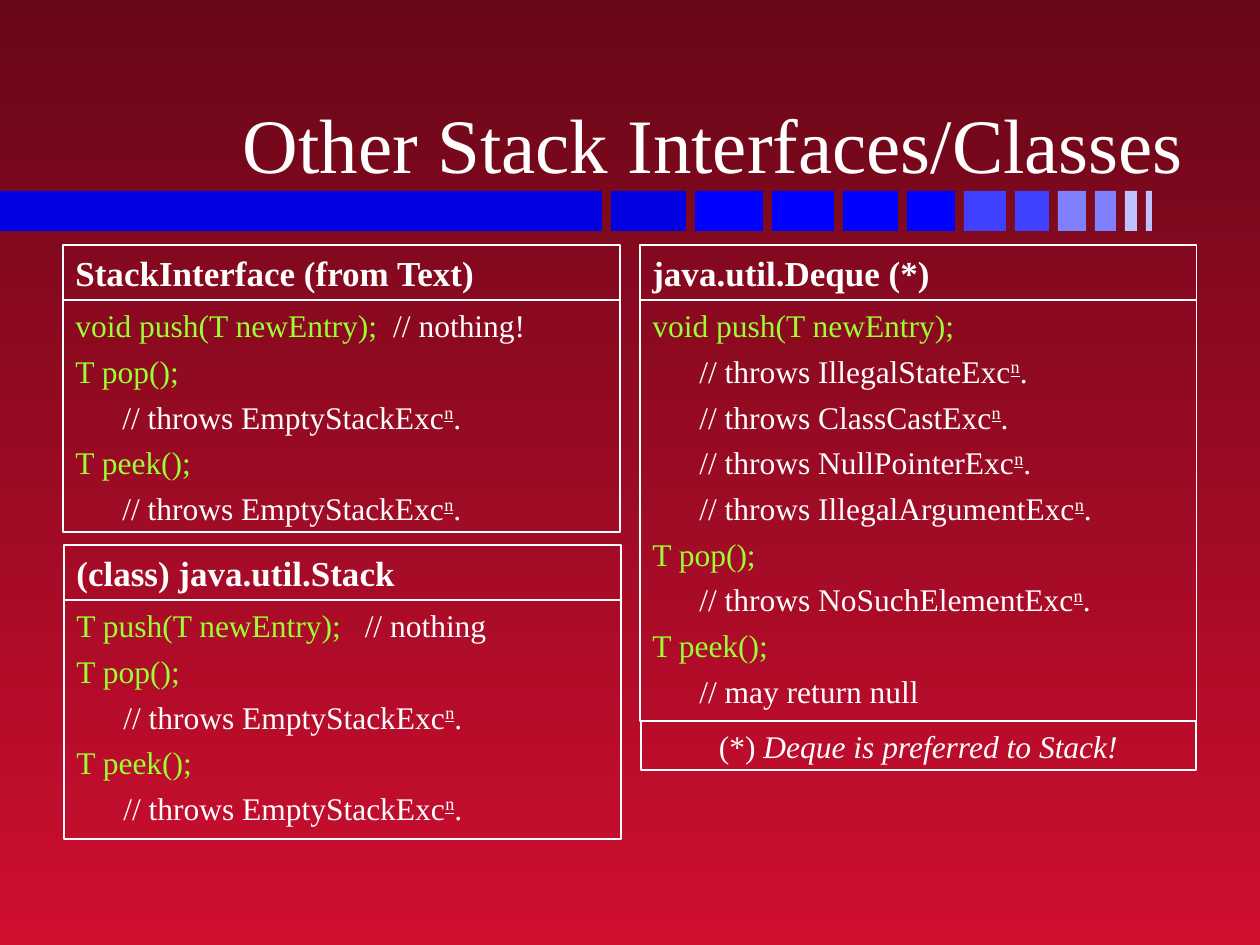
from lxml.etree import SubElement
from pptx import Presentation
from pptx.dml.color import RGBColor
from pptx.enum.shapes import MSO_SHAPE
from pptx.enum.text import MSO_ANCHOR, MSO_AUTO_SIZE, PP_ALIGN
from pptx.oxml.ns import qn
from pptx.util import Pt

SCALE = 914400 // 126
FONT = "Times New Roman"
COLORS = {
    "top": "670718", "base": "CF0E30", "white": "FFFFFF", "code": "99FF33",
    "navy": "0000E0", "blue": "0000FF", "mid": "4040FF",
    "light": "8080FF", "pale": "C0C0FF",
}
TITLE = "Other Stack Interfaces/Classes"
BARS = [
    (602, "navy"), (75, "navy"), (68, "blue"), (62, "blue"),
    (55, "blue"), (48, "blue"), (42, "mid"), (34, "mid"),
    (28, "light"), (21, "light"), (12, "pale"), (6, "pale"),
]
BAR_TOP, BAR_HIGH, BAR_GAP = 191, 40, 9
WIDE, HEAD = 557, 55
EMPTY = "// throws EmptyStackExc^n."
PANELS = [
    (63, 245, 232, "StackInterface (from Text)", [
        "void push(T newEntry);  // nothing!",
        "T pop();", EMPTY, "T peek();", EMPTY,
    ]),
    (640, 245, 421, "java.util.Deque (*)", [
        "void push(T newEntry);",
        "// throws IllegalStateExc^n.",
        "// throws ClassCastExc^n.",
        "// throws NullPointerExc^n.",
        "// throws IllegalArgumentExc^n.",
        "T pop();",
        "// throws NoSuchElementExc^n.",
        "T peek();",
        "// may return null",
    ]),
    (64, 545, 239, "(class) java.util.Stack", [
        "T push(T newEntry);   // nothing",
        "T pop();", EMPTY, "T peek();", EMPTY,
    ]),
]
NOTE = ("(*) ", "Deque is preferred to Stack!")


def px(n):
    return n * SCALE


def color(name):
    return RGBColor.from_string(COLORS[name])


def add_run(para, text, size, tint="white"):
    run = para.add_run()
    run.text = text
    run.font.name = FONT
    run.font.size = Pt(size)
    run.font.color.rgb = color(tint)
    return run


def add_rect(shapes, x, y, w, h):
    rect = shapes.add_shape(MSO_SHAPE.RECTANGLE, px(x), px(y), px(w), px(h))
    rect.shadow.inherit = False
    return rect


def add_box(x, y, w, h, anchor=MSO_ANCHOR.TOP, line=0.74):
    box = add_rect(slide.shapes, x, y, w, h)
    box.fill.background()
    box.line.color.rgb = color("white")
    box.line.width = Pt(line)
    frame = box.text_frame
    frame.word_wrap = True
    frame.vertical_anchor = anchor
    return frame


def set_space(para):
    para.alignment = PP_ALIGN.LEFT
    para.space_before = Pt(0)
    space = para._p.pPr.find(qn("a:spcBef"))
    space.clear()
    SubElement(space, qn("a:spcPct"), val="25000")


def add_line(para, text):
    set_space(para)
    code, mark, rest = text.partition("//")
    if code:
        add_run(para, code, 18, "code")
    else:
        para._p.pPr.set("marL", str(px(47)))
    if mark:
        note, power, tail = rest.partition("^")
        add_run(para, mark + note, 18)
        if power:
            sup = add_run(para, tail[0], 18)
            sup.font.underline = True
            sup.font._element.set("baseline", "30000")
            add_run(para, tail[1:], 18)


deck = Presentation()
deck.slide_width, deck.slide_height = px(1260), px(945)
slide = deck.slides.add_slide(deck.slide_layouts[5])
back = slide.background.fill
back.gradient()
back.gradient_angle = 270
for stop, name in zip(back.gradient_stops, ("top", "base")):
    stop.color.rgb = color(name)

title = slide.shapes.title
title.left, title.top, title.width, title.height = map(px, (63, 38, 1134, 157))
frame = title.text_frame
frame.auto_size = MSO_AUTO_SIZE.NONE
frame.vertical_anchor = MSO_ANCHOR.BOTTOM
frame.paragraphs[0].alignment = PP_ALIGN.RIGHT
add_run(frame.paragraphs[0], TITLE, 44)

group = slide.shapes.add_group_shape()
left = 0
for width, name in BARS:
    bar = add_rect(group.shapes, left, BAR_TOP, width, BAR_HIGH)
    bar.fill.solid()
    bar.fill.fore_color.rgb = color(name)
    bar.line.fill.background()
    left += width + BAR_GAP

for x, y, high, name, lines in PANELS:
    para = add_box(x, y, WIDE, HEAD, MSO_ANCHOR.BOTTOM).paragraphs[0]
    set_space(para)
    add_run(para, name, 20).font.bold = True
    body = add_box(x, y + HEAD, WIDE, high)
    for i, text in enumerate(lines):
        add_line(body.add_paragraph() if i else body.paragraphs[0], text)

para = add_box(641, 721, 555, 49, line=0.99).paragraphs[0]
para.alignment = PP_ALIGN.CENTER
add_run(para, NOTE[0], 18)
add_run(para, NOTE[1], 18).font.italic = True

deck.save("out.pptx")
